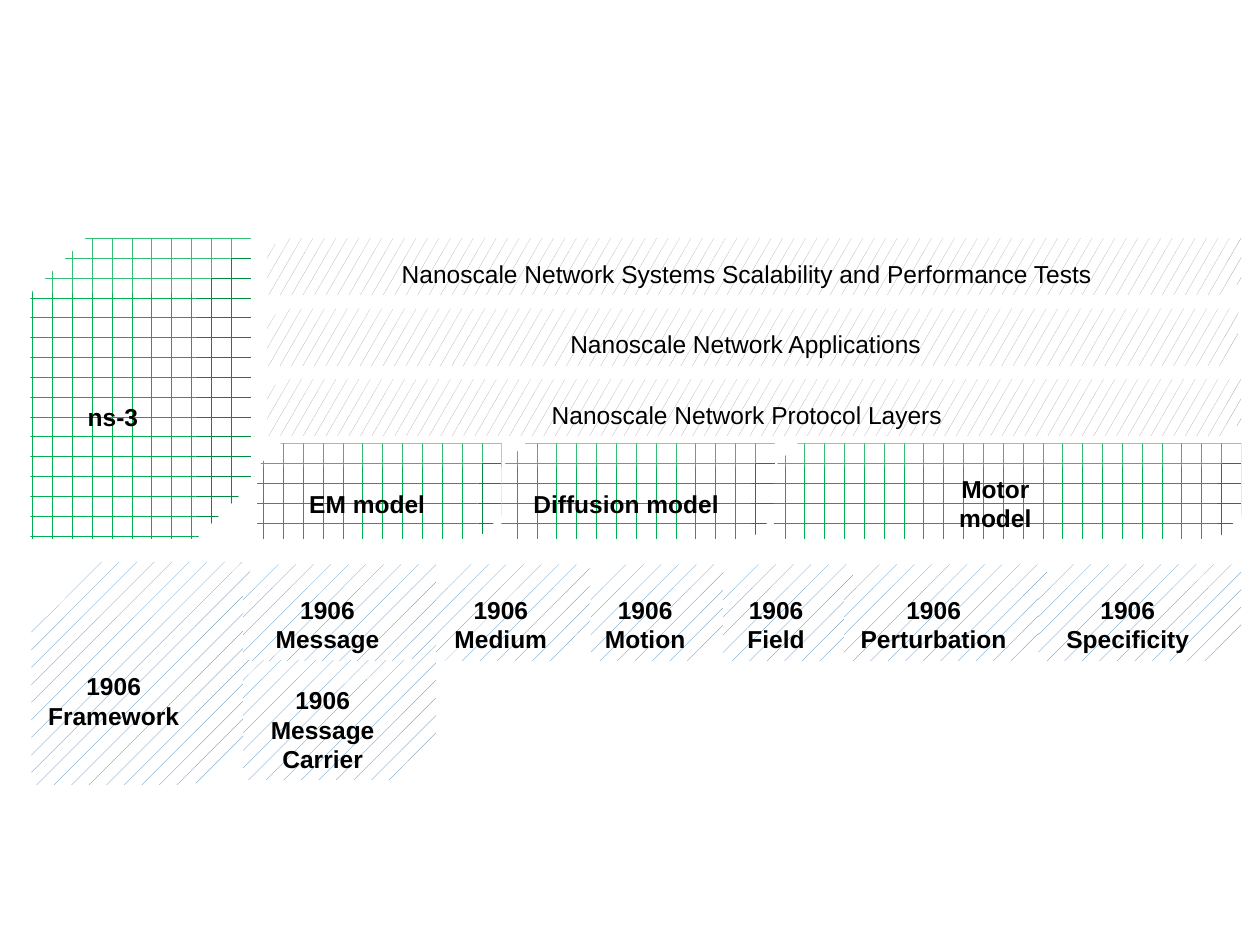
from pptx import Presentation
from pptx.dml.color import RGBColor
from pptx.enum.dml import MSO_PATTERN
from pptx.enum.shapes import MSO_SHAPE
from pptx.enum.text import MSO_ANCHOR, MSO_AUTO_SIZE, PP_ALIGN
from pptx.util import Inches, Pt

THEME = {
    "font": "Arial",
    "size": Pt(14),
    "text": RGBColor.from_string("000000"),
    "background": RGBColor.from_string("FFFFFF"),
    "framework": (MSO_PATTERN.PERCENT_5, RGBColor.from_string("3A81BA")),
    "simulator": (MSO_PATTERN.DOTTED_GRID, RGBColor.from_string("00B050")),
    "network": (MSO_PATTERN.SMALL_CONFETTI, RGBColor.from_string("A3A3A3")),
}

# Single blocks: text, style, (left, top, width, height), grows with its text
FRAMEWORK = ("1906 Framework", "framework", (0.25, 4.46, 1.74, 1.77), False)
CARRIER = ("1906 Message Carrier", "framework", (1.93, 5.12, 1.53, 1.07), True)
SIMULATOR = ("ns-3", "simulator", (0.24, 1.89, 1.75, 2.39), False)

# Rows of blocks: text, left, width
MODELS = [
    ("EM model", 2.04, 1.94),
    ("Diffusion model", 3.98, 2.17),
    ("Motor\nmodel", 6.14, 3.71),
]
COMPONENTS = [
    ("1906 Message", 1.93, 1.53),
    ("1906 Medium", 3.46, 1.22),
    ("1906 Motion", 4.69, 1.05),
    ("1906 Field", 5.74, 1.03),
    ("1906 Perturbation", 6.70, 1.61),
    ("1906 Specificity", 8.24, 1.61),
]
MODEL_TOP, COMPONENT_TOP, ROW_HEIGHT = 3.52, 4.48, 0.76

# Stacked network layers, from the top down: text, width
LAYERS = [
    ("Nanoscale Network Systems Scalability and Performance Tests", 7.73),
    ("Nanoscale Network Applications", 7.71),
    ("Nanoscale Network Protocol Layers", 7.73),
]
LAYER_LEFT, LAYER_TOP, LAYER_HEIGHT, LAYER_PITCH = 2.12, 1.89, 0.45, 0.56


def add_block(slide, text, style, box, grows):
    shape = slide.shapes.add_shape(MSO_SHAPE.CUBE, *map(Inches, box))
    shape.shadow.inherit = False
    shape.line.fill.background()
    shape.fill.patterned()
    shape.fill.pattern, shape.fill.fore_color.rgb = THEME[style]
    shape.fill.back_color.rgb = THEME["background"]

    frame = shape.text_frame
    frame.text = text
    frame.word_wrap = True
    frame.vertical_anchor = MSO_ANCHOR.MIDDLE
    frame.auto_size = MSO_AUTO_SIZE.SHAPE_TO_FIT_TEXT if grows else MSO_AUTO_SIZE.NONE
    for paragraph in frame.paragraphs:
        paragraph.alignment = PP_ALIGN.CENTER
        for run in paragraph.runs:
            run.font.name = THEME["font"]
            run.font.size = THEME["size"]
            run.font.color.rgb = THEME["text"]
            run.font.bold = style != "network"


def add_row(slide, blocks, style, top, grows):
    for text, left, width in blocks:
        add_block(slide, text, style, (left, top, width, ROW_HEIGHT), grows)


def main():
    presentation = Presentation()
    presentation.slide_width, presentation.slide_height = Inches(10), Inches(7.5)
    slide = presentation.slides.add_slide(presentation.slide_layouts[6])

    for block in (FRAMEWORK, CARRIER, SIMULATOR):
        add_block(slide, *block)
    add_row(slide, MODELS, "simulator", MODEL_TOP, False)
    for index, (text, width) in reversed(list(enumerate(LAYERS))):
        top = LAYER_TOP + index * LAYER_PITCH
        add_block(slide, text, "network", (LAYER_LEFT, top, width, LAYER_HEIGHT), True)
    add_row(slide, COMPONENTS, "framework", COMPONENT_TOP, True)

    presentation.save("out.pptx")


if __name__ == "__main__":
    main()
